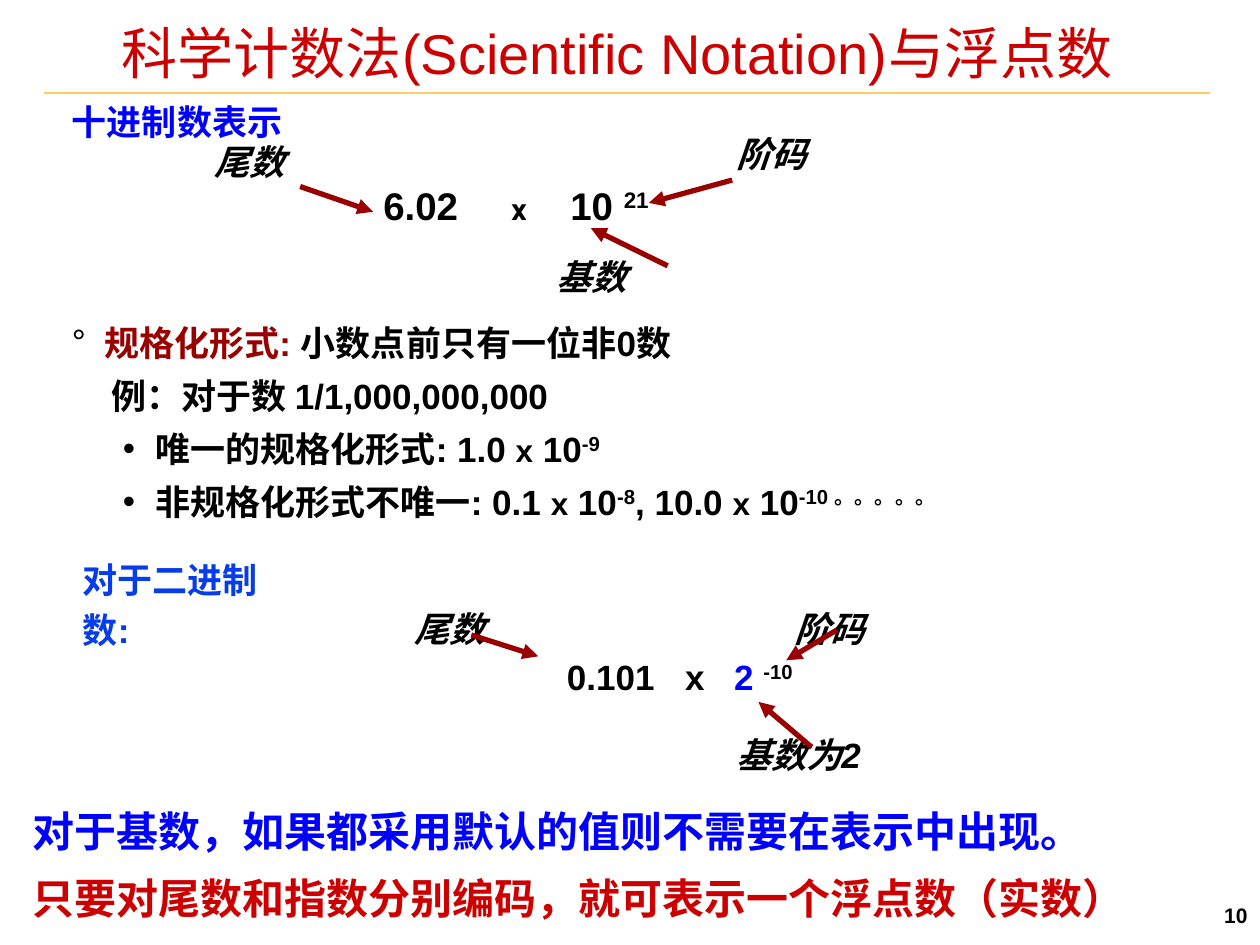
from lxml import etree
from pptx import Presentation
from pptx.dml.color import RGBColor
from pptx.enum.shapes import MSO_CONNECTOR
from pptx.enum.text import MSO_ANCHOR, PP_ALIGN
from pptx.oxml.ns import qn
from pptx.util import Cm, Pt

LINE = MSO_CONNECTOR.STRAIGHT
MID = MSO_ANCHOR.MIDDLE
LEFT, MID_X, RIGHT = PP_ALIGN.LEFT, PP_ALIGN.CENTER, PP_ALIGN.RIGHT

BLACK = RGBColor(0, 0, 0)
BLUE = RGBColor(0, 0, 0xFF)
SKY = RGBColor(0x06, 0x3D, 0xE9)
RED = RGBColor(0xCC, 0, 0)
DARK = RGBColor(0x99, 0, 0)
GOLD = RGBColor(0xFF, 0xCC, 0x66)

BASE = {"name": "Arial", "size": Pt(20), "bold": True, "italic": False}
PLAIN = {}
SLANT = {"italic": True}
SERIF = {"name": "Times New Roman"}
BIG = {"size": Pt(22)}
SMALL = {"size": Pt(18)}
SUP = {"raise": 30}


def add_run(para, text, style):
    """Add a run with the base format changed by style."""
    run = para.add_run()
    run.text = text
    form = {**BASE, **style}
    color = form.pop("color", BLACK)
    lift = form.pop("raise", 0)
    for key, value in form.items():
        setattr(run.font, key, value)
    run.font.color.rgb = color
    if lift:
        run.font._element.set("baseline", str(lift * 1000))


def add_box(slide, box):
    """Add a wrapping text box without margins and return its frame."""
    frame = slide.shapes.add_textbox(*map(Cm, box)).text_frame
    form = {"word_wrap": True, "vertical_anchor": MID, "margin_left": 0,
            "margin_right": 0, "margin_top": 0, "margin_bottom": 0}
    for key, value in form.items():
        setattr(frame, key, value)
    return frame


def add_label(slide, left, mid, runs, width=4, align=LEFT, tabs=()):
    """Add one line of text centred on the height mid."""
    para = add_box(slide, (left, mid - 0.5, width, 1)).paragraphs[0]
    para.alignment = align
    if tabs:
        stops = etree.SubElement(para._p.get_or_add_pPr(), qn("a:tabLst"))
        for stop in tabs:
            etree.SubElement(stops, qn("a:tab"), pos=str(Cm(stop)), algn="l")
    for text, style in runs:
        add_run(para, text, style)


def add_line(slide, ends, color, width, arrow=False):
    """Add a straight line, with a head at its end if asked."""
    line = slide.shapes.add_connector(LINE, *map(Cm, ends))
    line.line.color.rgb = color
    line.line.width = Pt(width)
    if arrow:
        etree.SubElement(line.line._get_or_add_ln(), qn("a:tailEnd"), type="triangle")
    etree.SubElement(line._element.spPr, qn("a:effectLst"))


def add_title(slide, left, top, width):
    """Add the title with its rule below."""
    style = {"size": Pt(32), "bold": False, "color": RED}
    add_line(slide, (left, top + 1.38, left + width, top + 1.38), GOLD, 1)
    add_label(slide, left, top + 0.55, [("科学计数法(Scientific Notation)与浮点数", style)],
              width - 0.4, MID_X)


def add_formula(slide, left, top, names, number, arrows):
    """Add a number in scientific notation with named parts."""
    x, y, runs, tabs = number
    add_label(slide, left + x, top + y, runs, 6, tabs=tabs)
    for x, y, text, style in names:
        add_label(slide, left + x, top + y, [(text, {**SLANT, **style})])
    for x1, y1, x2, y2 in arrows:
        ends = (left + x1, top + y1, left + x2, top + y2)
        add_line(slide, ends, DARK, 3, True)


def add_decimal(slide, left, top):
    """Add the decimal example."""
    add_label(slide, left, top + 0.44, [("十进制数表示", {"color": BLUE})], 6)
    runs = [("6.02\t", BIG), ("x", {**SMALL, "name": "Cabin"}),
            ("\t10 ", BIG), ("21", {**BIG, **SUP})]
    names = [(2.88, 1.25, "尾数", PLAIN), (13.39, 1.1, "阶码", SERIF),
             (9.76, 3.58, "基数", PLAIN)]
    arrows = [(4.6, 1.76, 6.07, 2.27), (13.31, 1.63, 11.63, 2.09),
              (12.01, 3.36, 10.46, 2.6)]
    add_formula(slide, left, top, names, (6.28, 2.13, runs, (2.58, 3.77)), arrows)


def add_binary(slide, left, top):
    """Add the binary example."""
    para = add_box(slide, (left, top - 0.5, 3.8, 2.2)).paragraphs[0]
    para.line_spacing = Pt(29)
    add_run(para, "对于二进制数:", {"color": SKY})
    runs = [("0.101\tx\t", PLAIN), ("2 ", {"color": BLUE}), ("-10", SUP)]
    names = [(6.68, 1.18, "尾数", PLAIN), (14.34, 1.18, "阶码", PLAIN),
             (13.17, 3.7, "基数为2", PLAIN)]
    arrows = [(7.83, 1.3, 9.18, 1.73), (15.2, 1.2, 14.18, 1.81),
              (14.69, 3.56, 13.62, 2.65)]
    add_formula(slide, left, top, names, (9.76, 2.13, runs, (2.38, 3.37)), arrows)


def add_list(slide, left, top):
    """Add the bullets on the normalised form."""
    ten, times = (" 10", PLAIN), ("x", SMALL)
    rows = [
        ("°", 0.65, 0.65, [("规格化形式: ", {"color": DARK}), ("小数点前只有一位非0数", PLAIN)]),
        (None, 0.8, 0, [("例：对于数 1/1,000,000,000", PLAIN)]),
        ("•", 1.68, 0.65, [("唯一的规格化形式: 1.0 ", PLAIN), times, ten, ("-9", SUP)]),
        ("•", 1.68, 0.65, [("非规格化形式不唯一: 0.1 ", PLAIN), times, ten, ("-8", SUP),
                           (", 10.0 ", PLAIN), times, ten, ("-10 。。。。。", SUP)]),
    ]
    frame = add_box(slide, (left, top, 22, 4.28))
    for i, (mark, start, hang, runs) in enumerate(rows):
        para = frame.add_paragraph() if i else frame.paragraphs[0]
        para.line_spacing = Pt(30.3)
        props = para._p.get_or_add_pPr()
        props.set("marL", str(Cm(start)))
        props.set("indent", str(-Cm(hang)))
        if mark:
            tint = etree.SubElement(props, qn("a:buClr"))
            etree.SubElement(tint, qn("a:srgbClr"), val=str(BLACK))
            etree.SubElement(props, qn("a:buFont"), typeface="Arial")
            etree.SubElement(props, qn("a:buChar"), char=mark)
        for text, style in runs:
            add_run(para, text, style)


def add_close(slide, left, top):
    """Add the two closing sentences and the page number."""
    lines = [("对于基数，如果都采用默认的值则不需要在表示中出现。", BLUE),
             ("只要对尾数和指数分别编码，就可表示一个浮点数（实数）", RED)]
    for i, (text, color) in enumerate(lines):
        style = {**SERIF, "size": Pt(24), "color": color}
        add_label(slide, left, top + 0.5 + 1.35 * i, [(text, style)], 24)
    add_label(slide, left + 20.5, top + 2.2, [("10", {"size": Pt(12)})], 4, RIGHT)


def main():
    """Build and save the slide."""
    deck = Presentation()
    deck.slide_width, deck.slide_height = Cm(25.4), Cm(19.05)
    slide = deck.slides.add_slide(deck.slide_layouts[6])
    add_title(slide, 0.89, 0.5, 23.5)
    add_decimal(slide, 1.45, 2)
    add_list(slide, 1.45, 6.25)
    add_binary(slide, 1.67, 11.5)
    add_close(slide, 0.65, 16.25)
    deck.save("out.pptx")


if __name__ == "__main__":
    main()
